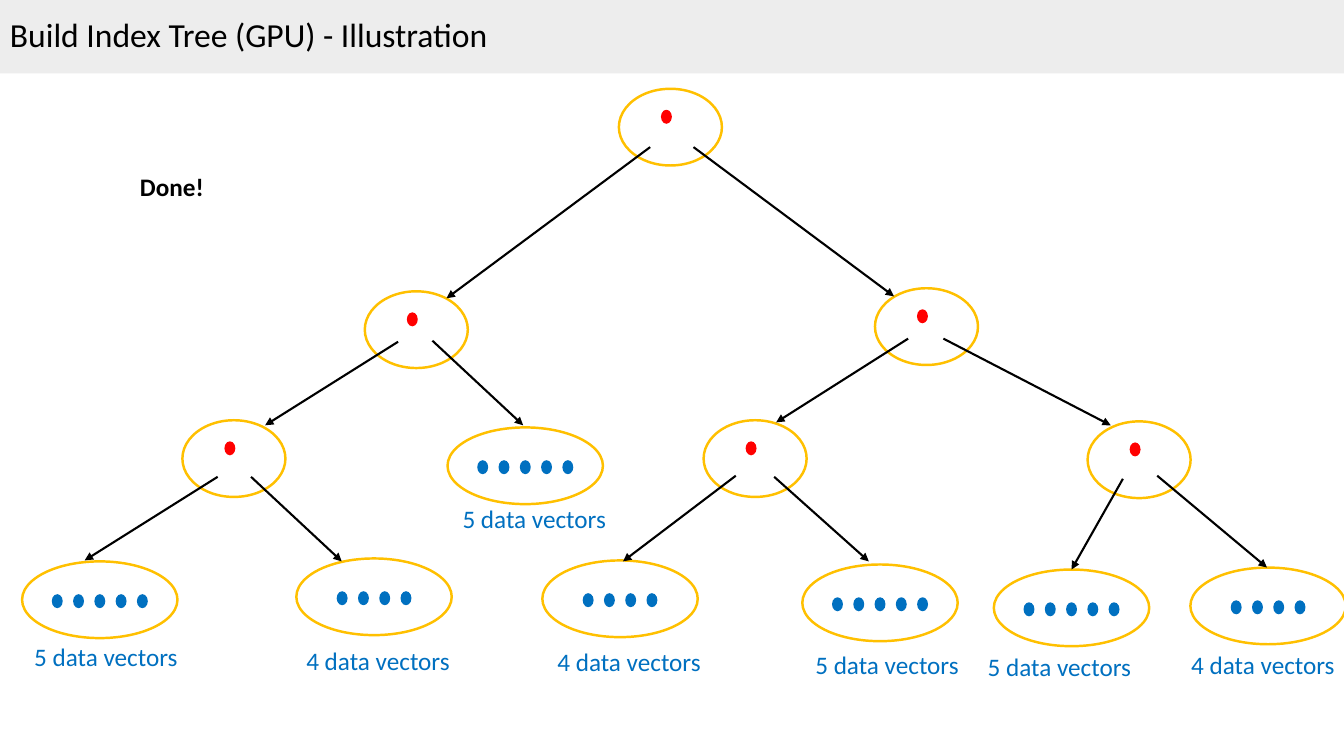
import pptx
import pptx.util
import pptx.dml.color
import pptx.enum.shapes
import pptx.enum.text
import pptx.oxml.ns
from lxml import etree

Pt = pptx.util.Pt
SHAPE = pptx.enum.shapes.MSO_SHAPE
TEXT = pptx.enum.text


def rgb(value):
    return pptx.dml.color.RGBColor.from_string(value)


class TreeSlide:
    font = "Calibri"
    black, gray = "000000", "EDEDED"
    gold, red, blue = "FFC000", "FF0000", "0070C0"
    node_w, leaf_w, oval_h = 73.6, 111, 54.8
    dot_w, dot_h, dot_pitch = 7.8, 10, 15.2

    def __init__(self, prs):
        self.s = prs.slides.add_slide(prs.slide_layouts[6])

    def shape(self, kind, x, y, w, h, fill=None, line=None):
        sp = self.s.shapes.add_shape(kind, Pt(x), Pt(y), Pt(w), Pt(h))
        sp.shadow.inherit = False
        if fill:
            sp.fill.solid()
            sp.fill.fore_color.rgb = rgb(fill)
        else:
            sp.fill.background()
        if line:
            sp.line.color.rgb = rgb(line)
            sp.line.width = Pt(1.75)
        else:
            sp.line.fill.background()
        return sp

    def label(self, sp, text, size, color, bold=False, space=0):
        sp.text_frame.text = text
        p = sp.text_frame.paragraphs[0]
        p.alignment = TEXT.PP_ALIGN.LEFT
        p.space_before = p.space_after = Pt(space)
        r = p.runs[0]
        r.font.name = self.font
        r.font.size = Pt(size)
        r.font.bold = bold
        r.font.color.rgb = rgb(color)
        return p

    def title(self, text):
        sp = self.shape(SHAPE.RECTANGLE, 0, 0, 960, 52.5, fill=self.gray)
        sp.text_frame.vertical_anchor = TEXT.MSO_ANCHOR.MIDDLE
        p = self.label(sp, text, 24, self.black, space=6)
        p.line_spacing = 0.9

    def text(self, text, x, y, w, color, wrap=False, bold=False, space=0):
        sp = self.s.shapes.add_textbox(Pt(x), Pt(y), Pt(w), Pt(29))
        sp.text_frame.word_wrap = wrap
        sp.text_frame.auto_size = TEXT.MSO_AUTO_SIZE.SHAPE_TO_FIT_TEXT
        self.label(sp, text, 18, color, bold, space)

    def dot(self, x, y, color):
        self.shape(SHAPE.OVAL, x, y, self.dot_w, self.dot_h, fill=color)

    def node(self, x, y):
        self.dot(x + 30, y + 15, self.red)
        self.shape(SHAPE.OVAL, x, y, self.node_w, self.oval_h, line=self.gold)

    def leaf(self, x, y, count, label_x, label_y):
        self.shape(SHAPE.OVAL, x, y, self.leaf_w, self.oval_h, line=self.gold)
        row_w = (count - 1) * self.dot_pitch + self.dot_w
        first = x + (self.leaf_w - row_w) / 2
        for i in range(count):
            self.dot(first + i * self.dot_pitch, y + 23.4, self.blue)
        self.text(f"{count} data vectors", label_x, label_y, 118, self.blue)

    def arrow(self, x1, y1, x2, y2):
        c = self.s.shapes.add_connector(
            pptx.enum.shapes.MSO_CONNECTOR.STRAIGHT, Pt(x1), Pt(y1), Pt(x2), Pt(y2))
        c.line.color.rgb = rgb(self.black)
        c.line.width = Pt(1.5)
        qn = pptx.oxml.ns.qn
        props = c.element.spPr
        etree.SubElement(props.find(qn("a:ln")), qn("a:tailEnd"), type="triangle")
        etree.SubElement(props, qn("a:effectLst"))


NODES = [
    (442.1, 63.4),
    (260.6, 208.1), (625, 205.9),
    (130.3, 300.2), (502.6, 300.2), (776.9, 301),
]

LEAVES = [
    (319.7, 305.3, 5, 323.3, 355.7),
    (15.8, 401, 5, 17.3, 454.3),
    (211.7, 398.9, 4, 211.7, 457.2),
    (387.4, 400.3, 4, 391, 457.9),
    (573.1, 403.2, 5, 575.3, 460.1),
    (709.9, 406.8, 5, 698.4, 461.5),
    (850.3, 405.4, 4, 843.8, 460.1),
]

ARROWS = [
    (464.4, 105.1, 319, 213.1), (495.4, 105.1, 638.6, 211.7),
    (284.4, 244.1, 189.4, 303.8), (308.9, 243.4, 373.7, 303.8),
    (648.7, 241.9, 554.4, 301.7), (673.9, 241.9, 793.4, 303.8),
    (155.5, 340.6, 60.5, 400.3), (179.3, 340.6, 244.1, 401),
    (525.6, 339.8, 445, 401), (553, 340.6, 620.6, 401),
    (802.1, 342, 765.4, 406.8), (826.6, 339.8, 905, 405.4),
]


def main():
    prs = pptx.Presentation()
    prs.slide_width, prs.slide_height = Pt(960), Pt(540)
    tree = TreeSlide(prs)
    tree.title("Build Index Tree (GPU) - Illustration")
    tree.text("Done!", 92.9, 118.8, 149.8, tree.black, wrap=True, bold=True, space=6)
    for node in NODES:
        tree.node(*node)
    for leaf in LEAVES:
        tree.leaf(*leaf)
    for arrow in ARROWS:
        tree.arrow(*arrow)
    prs.save("out.pptx")


if __name__ == "__main__":
    main()
